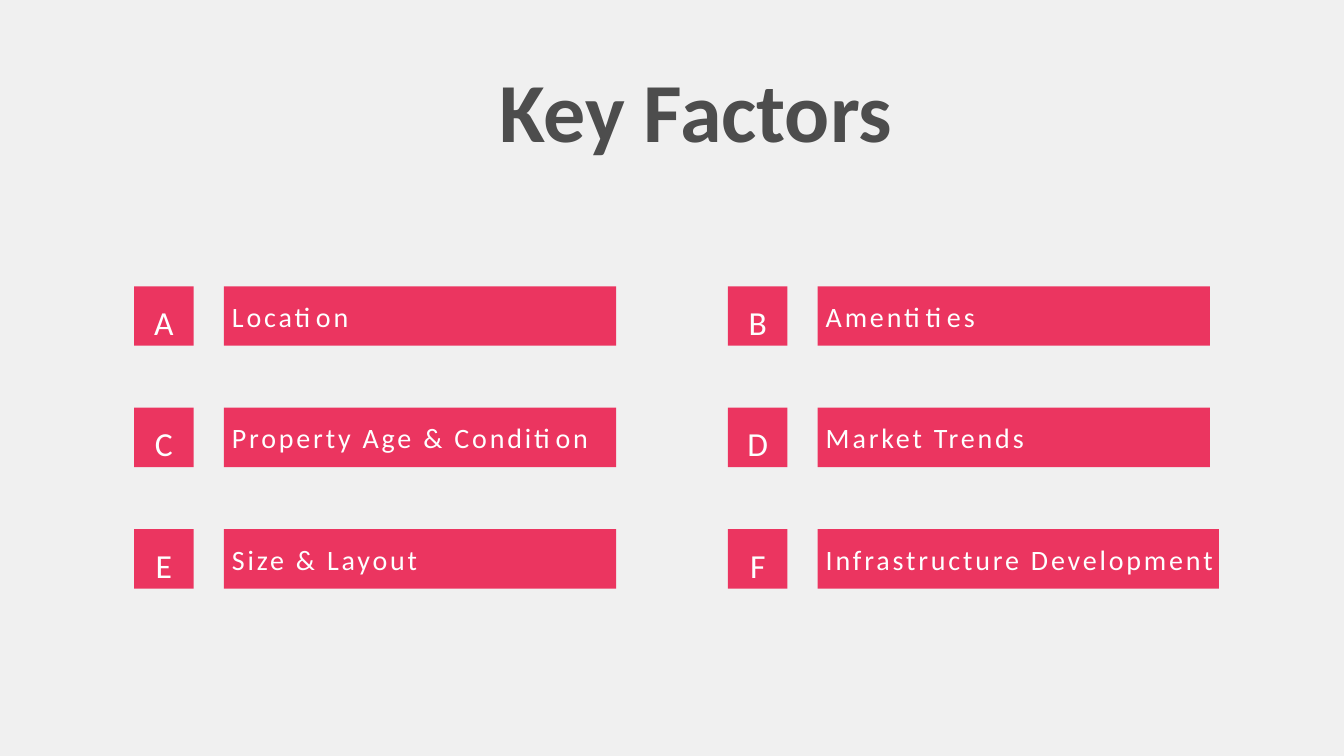
from pptx import Presentation
from pptx.dml.color import RGBColor
from pptx.enum import shapes, text
from pptx.util import Inches, Pt

FONT = "Calibri"
PAPER, INK, PINK, WHITE = "F0F0F0", "4D4D4D", "EB3560", "FEFFFF"

FACTORS = [
    "Location", "Amentities",
    "Property Age & Condition", "Market Trends",
    "Size & Layout", "Infrastructure Development",
]
COLUMNS = 2
LEFT, TOP = 1.33, 2.84
COLUMN_STEP, ROW_STEP = 5.89, 1.205
BADGE_SIZE, BAR_OFFSET = 0.59, 0.89
BAR_WIDTH, WIDE_BAR_WIDTH = 3.89, 3.98


def color(hex_code):
    return RGBColor.from_string(hex_code)


def write(frame, wording, *, size, ink=WHITE, bold=False, spacing=0,
          align=text.PP_ALIGN.LEFT, line_spacing=1.0,
          anchor=text.MSO_ANCHOR.MIDDLE, insets=(0, 0, 0, 0)):
    """Fill a text frame with one formatted paragraph."""
    frame.word_wrap = True
    frame.auto_size = text.MSO_AUTO_SIZE.NONE
    frame.vertical_anchor = anchor
    (frame.margin_left, frame.margin_top,
     frame.margin_right, frame.margin_bottom) = map(Inches, insets)
    paragraph = frame.paragraphs[0]
    paragraph.alignment = align
    paragraph.line_spacing = line_spacing
    run = paragraph.add_run()
    run.text = wording
    run.font.name = FONT
    run.font.size = Pt(size)
    run.font.bold = bold
    run.font.color.rgb = color(ink)
    if spacing:
        run.font._element.set("spc", str(spacing * 100))


def add_heading(slide, wording):
    heading = slide.shapes.title
    heading.left, heading.top = Inches(4.85), Inches(0.53)
    heading.width, heading.height = Inches(4.96), Inches(1.11)
    write(heading.text_frame, wording, size=60, ink=INK, bold=True,
          align=text.PP_ALIGN.JUSTIFY, anchor=text.MSO_ANCHOR.TOP,
          insets=(0.1, 0.05, 0.1, 0.05))


def add_block(slide, left, top, width, wording, **text_format):
    block = slide.shapes.add_shape(
        shapes.MSO_SHAPE.RECTANGLE, Inches(left), Inches(top),
        Inches(width), Inches(BADGE_SIZE))
    block.shadow.inherit = False
    block.fill.solid()
    block.fill.fore_color.rgb = color(PINK)
    block.line.fill.background()
    write(block.text_frame, wording, **text_format)


def add_factor(slide, index, factor):
    """Place a labelled bar and its letter badge in the grid."""
    row, column = divmod(index, COLUMNS)
    left = LEFT + column * COLUMN_STEP
    top = TOP + row * ROW_STEP
    is_last = index == len(FACTORS) - 1
    add_block(slide, left + BAR_OFFSET, top,
              WIDE_BAR_WIDTH if is_last else BAR_WIDTH, factor,
              size=20, spacing=2, insets=(0.08, 0, 0, 0))
    add_block(slide, left, top, BADGE_SIZE, "ABCDEF"[index],
              size=24, align=text.PP_ALIGN.CENTER, line_spacing=1.3)


def main():
    deck = Presentation()
    deck.slide_width, deck.slide_height = Inches(13.33), Inches(7.5)
    slide = deck.slides.add_slide(deck.slide_layouts.get_by_name("Title Only"))

    # Background
    slide.background.fill.solid()
    slide.background.fill.fore_color.rgb = color(PAPER)

    # Heading and factor grid
    add_heading(slide, "Key Factors")
    for index, factor in enumerate(FACTORS):
        add_factor(slide, index, factor)

    deck.save("out.pptx")


if __name__ == "__main__":
    main()
